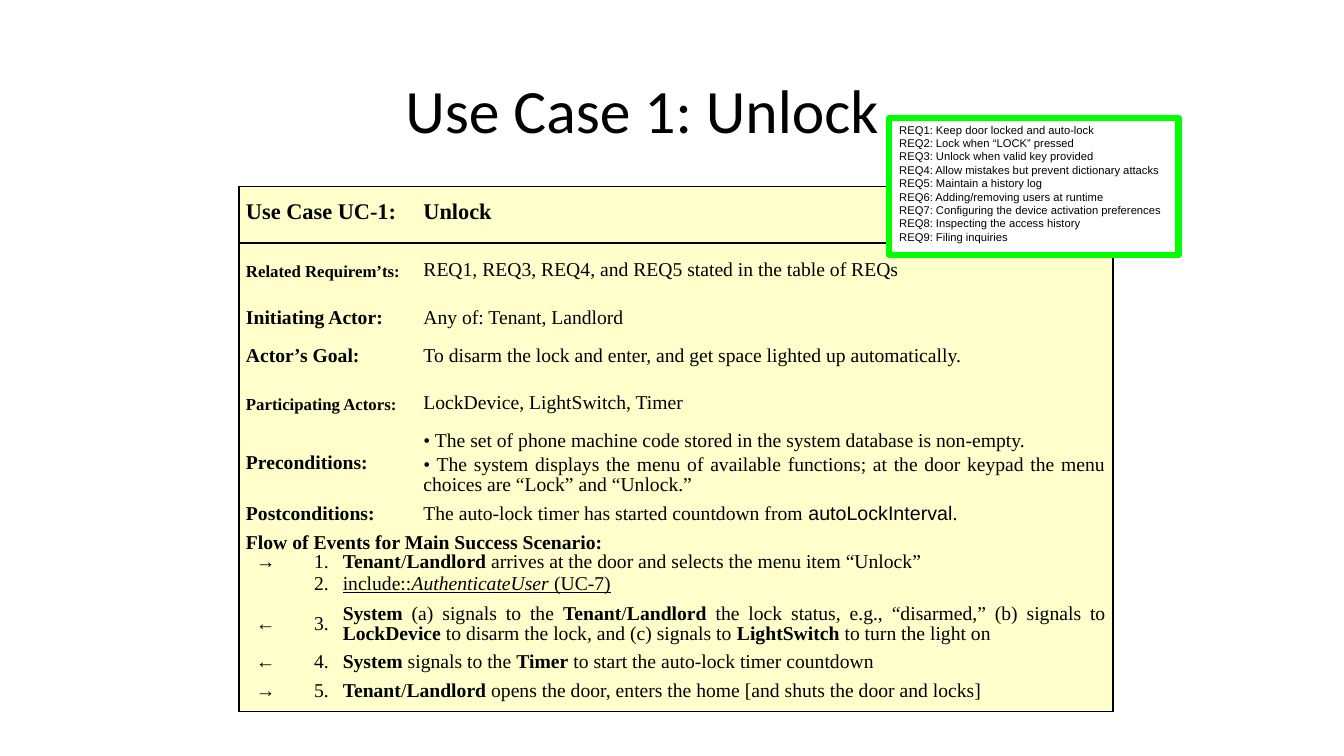
"""Build the slide with the Unlock use case table and its requirements box."""
from dataclasses import dataclass

from lxml import etree
from pptx import Presentation
from pptx.dml.color import RGBColor
from pptx.enum import shapes, text
from pptx.oxml import ns
from pptx.util import Inches, Pt


@dataclass
class Theme:
    ink: RGBColor = RGBColor.from_string("000000")
    paper: RGBColor = RGBColor.from_string("FFFFFF")
    cream: RGBColor = RGBColor.from_string("FFFFCC")
    green: RGBColor = RGBColor.from_string("00FF00")
    title_font: str = "Calibri"
    table_font: str = "Times New Roman"
    code_font: str = "Arial"
    title: int = 44
    heading: int = 16
    body: int = 14
    label: int = 12
    note: int = 8


theme = Theme()
ALIGN = text.PP_ALIGN


def write(paragraph, content, size, align=ALIGN.JUSTIFY, before=0):
    """Fill a table paragraph; asterisks switch bold on and off."""
    paragraph.alignment = align
    paragraph.line_spacing = Pt(14)
    paragraph.space_before = Pt(before)
    for index, part in enumerate(content.split("*")):
        if part:
            run = paragraph.add_run()
            run.text = part
            run.font.name = theme.table_font
            run.font.size = Pt(size)
            run.font.bold = index % 2 == 1
            run.font.color.rgb = theme.ink


def draw_borders(cell, sides):
    """Draw the named sides of a cell in black and hide the others."""
    properties = cell._tc.get_or_add_tcPr()
    for side in "LRTB":
        line = etree.SubElement(properties, ns.qn(f"a:ln{side}"), w=str(Pt(1)))
        if side in sides:
            fill = etree.SubElement(line, ns.qn("a:solidFill"))
            etree.SubElement(fill, ns.qn("a:srgbClr"), val=str(theme.ink))
        else:
            etree.SubElement(line, ns.qn("a:noFill"))


details = [
    ("Use Case UC-1:", ["*Unlock*"], theme.heading, 0.56),
    ("Related Requirem’ts:", ["REQ1, REQ3, REQ4, and REQ5 stated in the table of REQs"], theme.label, 0.56),
    ("Initiating Actor:", ["Any of: Tenant, Landlord"], theme.body, 0.38),
    ("Actor’s Goal:", ["To disarm the lock and enter, and get space lighted up automatically."], theme.body, 0.38),
    ("Participating Actors:", ["LockDevice, LightSwitch, Timer"], theme.label, 0.56),
    ("Preconditions:", [
        "• The set of phone machine code stored in the system database is non-empty.",
        "• The system displays the menu of available functions; at the door keypad "
        "the menu choices are “Lock” and “Unlock.”"], theme.body, 0.62),
    ("Postconditions:", ["The auto-lock timer has started countdown from *autoLockInterval*."], theme.body, 0.38),
]
steps = [
    ("→", "*Tenant*/*Landlord* arrives at the door and selects the menu item “Unlock”", 0.19),
    ("", "include::*AuthenticateUser* (UC-7)", 0.19),
    ("←", "*System* (a) signals to the *Tenant*/*Landlord* the lock status, e.g., “disarmed,” "
     "(b) signals to *LockDevice* to disarm the lock, and (c) signals to *LightSwitch* "
     "to turn the light on", 0.56),
    ("←", "*System* signals to the *Timer* to start the auto-lock timer countdown", 0.19),
    ("→", "*Tenant*/*Landlord* opens the door, enters the home [and shuts the door and locks]", 0.38),
]
requirements = [
    "Keep door locked and auto-lock",
    "Lock when “LOCK” pressed",
    "Unlock when valid key provided",
    "Allow mistakes but prevent dictionary attacks",
    "Maintain a history log",
    "Adding/removing users at runtime",
    "Configuring the device activation preferences",
    "Inspecting the access history",
    "Filing inquiries",
]

presentation = Presentation()
presentation.slide_width, presentation.slide_height = Inches(13.33), Inches(7.5)
slide = presentation.slides.add_slide(presentation.slide_layouts[5])

title = slide.shapes.title
title.left, title.top, title.width, title.height = map(Inches, (0.92, 0.4, 11.5, 1.45))
title.text_frame.text = "Use Case 1: Unlock"
title.text_frame.margin_left = Inches(3.1)
title.text_frame.vertical_anchor = text.MSO_ANCHOR.MIDDLE
title.text_frame.auto_size = text.MSO_AUTO_SIZE.NONE
heading = title.text_frame.paragraphs[0]
heading.alignment = ALIGN.LEFT
heading.line_spacing = 0.9
heading.runs[0].font.name = theme.title_font
heading.runs[0].font.size = Pt(theme.title)
heading.runs[0].font.color.rgb = theme.ink

columns = [0.53, 0.43, 0.8, 6.91]
heights = [row[-1] for row in details] + [0.19] + [step[-1] for step in steps]
flow_row = len(details)
last_row, last_column = len(heights) - 1, len(columns) - 1
frame = slide.shapes.add_table(len(heights), len(columns), Inches(2.37), Inches(1.85),
                               Inches(sum(columns)), Inches(sum(heights)))
table = frame.table
table.first_row = table.horz_banding = False
for column, width in zip(table.columns, columns):
    column.width = Inches(width)

for row, height in enumerate(heights):
    table.rows[row].height = Inches(height)
    if row < flow_row:
        first, last = 0, 2
    elif row == flow_row:
        first, last = 0, 3
    else:
        first, last = 2, 3
    table.cell(row, first).merge(table.cell(row, last))
    for column in range(len(columns)):
        cell = table.cell(row, column)
        end = last if column == first else column
        sides = ("L" if column == 0 else "") + ("R" if end == last_column else "")
        sides += ("T" if row in (0, 1) else "") + ("B" if row in (0, last_row) else "")
        draw_borders(cell, sides)
        cell.fill.solid()
        cell.fill.fore_color.rgb = theme.cream
        cell.vertical_anchor = text.MSO_ANCHOR.MIDDLE
        cell.margin_left = cell.margin_right = Inches(0.07)
        cell.margin_top = cell.margin_bottom = 0
        paragraph = cell.text_frame.paragraphs[0]
        paragraph.line_spacing = Pt(14)
        paragraph._p.get_or_add_endParaRPr().set("sz", str(theme.body * 100))

for row, (label, lines, size, _) in enumerate(details):
    align, before = (ALIGN.LEFT, 6) if row == 0 else (ALIGN.JUSTIFY, 3)
    write(table.cell(row, 0).text_frame.paragraphs[0], f"*{label}*", size, align, before)
    detail_frame = table.cell(row, 3).text_frame
    for index, line in enumerate(lines):
        paragraph = detail_frame.add_paragraph() if index else detail_frame.paragraphs[0]
        write(paragraph, line, max(size, theme.body), align, before)
interval = table.cell(flow_row - 1, 3).text_frame.paragraphs[0].runs[1]
interval.font.name, interval.font.bold = theme.code_font, False

write(table.cell(flow_row, 0).text_frame.paragraphs[0],
      "*Flow of Events for Main Success Scenario:*", theme.body, before=4)
for number, (arrow, action, _) in enumerate(steps, 1):
    parts = [(arrow, ALIGN.CENTER), (f"{number}.", ALIGN.RIGHT), (action, ALIGN.JUSTIFY)]
    for column, (content, align) in enumerate(parts):
        paragraph = table.cell(flow_row + number, column).text_frame.paragraphs[0]
        write(paragraph, content, theme.body, align)
include = table.cell(flow_row + 2, 2).text_frame.paragraphs[0]
for run in include.runs:
    run.font.underline, run.font.bold = True, False
include.runs[1].font.italic = True

box = slide.shapes.add_shape(shapes.MSO_SHAPE.RECTANGLE, Inches(8.82), Inches(1.17),
                             Inches(2.87), Inches(1.36))
box.shadow.inherit = False
box.fill.solid()
box.fill.fore_color.rgb = theme.paper
box.line.color.rgb = theme.green
box.line.width = Pt(4.5)
box.text_frame.word_wrap = False
box.text_frame.vertical_anchor = text.MSO_ANCHOR.TOP
box.text_frame.text = "\n".join(f"REQ{number}: {requirement}"
                                for number, requirement in enumerate(requirements, 1))
for paragraph in box.text_frame.paragraphs:
    paragraph.alignment = ALIGN.LEFT
    font = paragraph.runs[0].font
    font.name, font.size, font.color.rgb = theme.code_font, Pt(theme.note), theme.ink

presentation.save("out.pptx")
